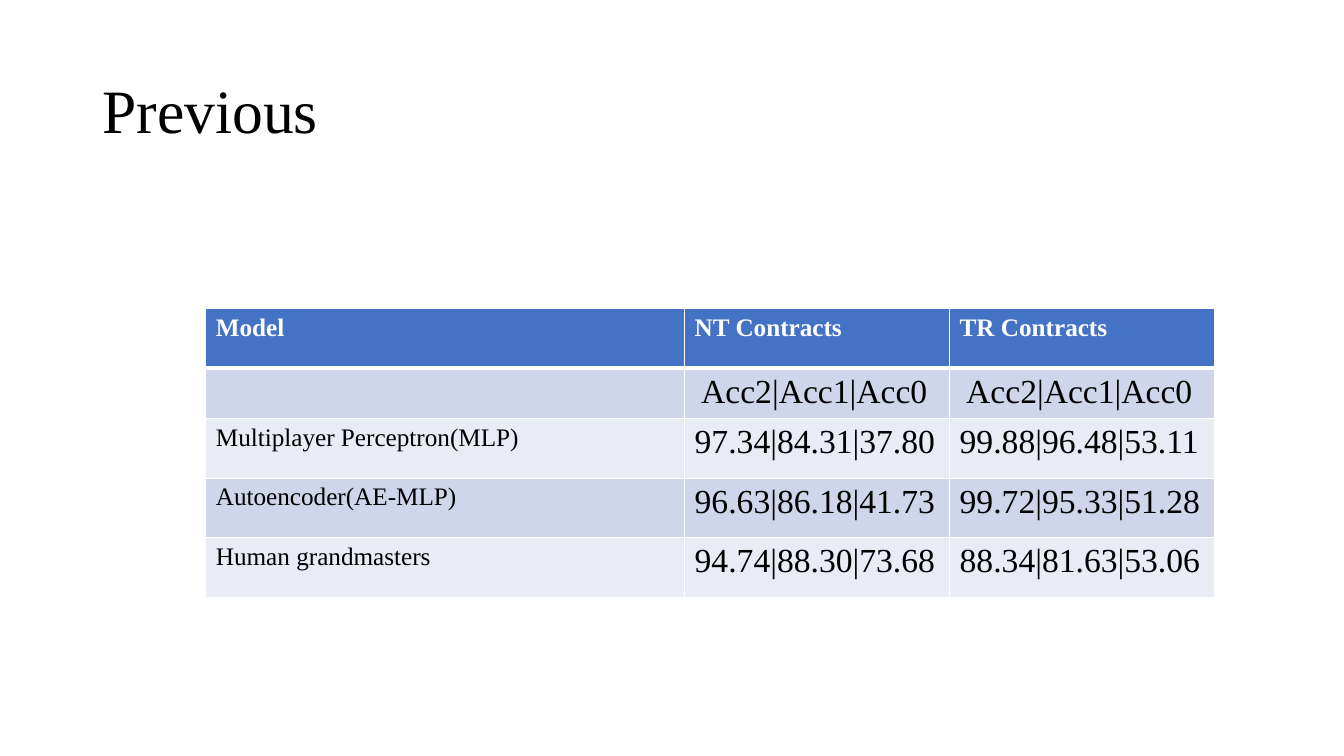
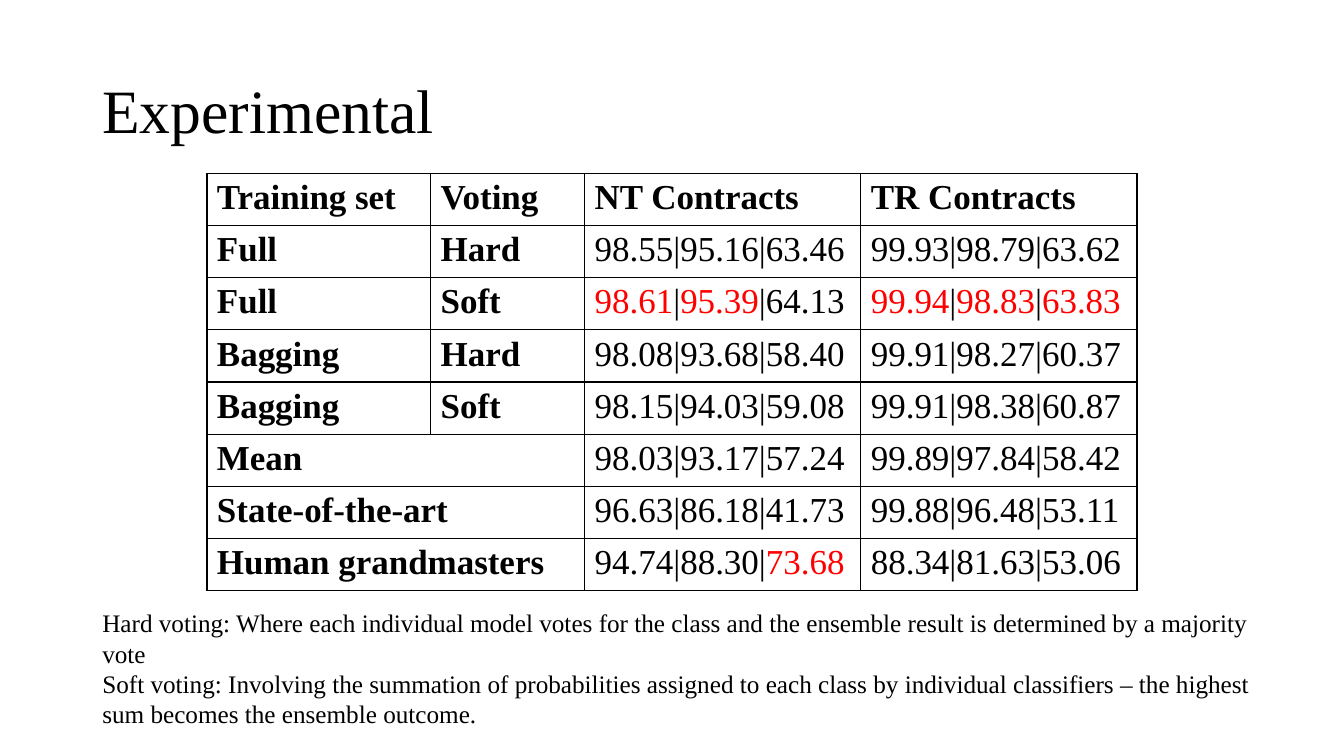
from dataclasses import dataclass

from pptx import Presentation
from pptx.dml.color import RGBColor
from pptx.enum.text import MSO_ANCHOR
from pptx.oxml.ns import qn
from pptx.slide import Slide
from pptx.table import _Cell
from pptx.text.text import _Paragraph
from pptx.util import Pt
from lxml.etree import SubElement

FONT = "Times New Roman"
BLACK = RGBColor(0x00, 0x00, 0x00)
WHITE = RGBColor(0xFF, 0xFF, 0xFF)
RED = RGBColor(0xFF, 0x00, 0x00)
BLUE = RGBColor(0x44, 0x72, 0xC4)
BAND_DARK = RGBColor(0xCF, 0xD5, 0xEA)
BAND_LIGHT = RGBColor(0xE9, 0xEB, 0xF5)
MARK = "*"


@dataclass(frozen=True)
class ResultTable:
    left: float
    top: float
    widths: tuple[float, ...]
    heights: tuple[float, ...]
    rows: tuple[tuple[str | None, ...], ...]
    label_columns: int
    label_size: float
    header_size: float
    value_size: float
    bold_labels: bool
    header_color: RGBColor
    header_fill: RGBColor
    bands: tuple[RGBColor, RGBColor]
    border: RGBColor
    header_rule: float


PREVIOUS = ResultTable(
    left=147, top=220.5, widths=(342, 189.3, 189.3),
    heights=(42.5, 33.8, 42.5, 42.5, 42.5),
    rows=(
        ("Model", "NT Contracts", "TR Contracts"),
        ("", " Acc2|Acc1|Acc0", " Acc2|Acc1|Acc0"),
        ("Multiplayer Perceptron(MLP)", "97.34|84.31|37.80", "99.88|96.48|53.11"),
        ("Autoencoder(AE-MLP)", "96.63|86.18|41.73", "99.72|95.33|51.28"),
        ("Human grandmasters", "94.74|88.30|73.68", "88.34|81.63|53.06"),
    ),
    label_columns=1, label_size=18, header_size=18, value_size=24,
    bold_labels=False, header_color=WHITE, header_fill=BLUE,
    bands=(BAND_DARK, BAND_LIGHT), border=WHITE, header_rule=3,
)

EXPERIMENTAL = ResultTable(
    left=147.8, top=124, widths=(159.8, 110, 197.3, 197.3),
    heights=(34.8,) * 8,
    rows=(
        ("Training set", "Voting", "NT Contracts", "TR Contracts"),
        ("Full", "Hard", "98.55|95.16|63.46", "99.93|98.79|63.62"),
        ("Full", "Soft", "*98.61*|*95.39*|64.13", "*99.94*|*98.83*|*63.83*"),
        ("Bagging", "Hard", "98.08|93.68|58.40", "99.91|98.27|60.37"),
        ("Bagging", "Soft", "98.15|94.03|59.08", "99.91|98.38|60.87"),
        ("Mean", None, "98.03|93.17|57.24", "99.89|97.84|58.42"),
        ("State-of-the-art", None, "96.63|86.18|41.73", "99.88|96.48|53.11"),
        ("Human grandmasters", None, "94.74|88.30|*73.68*", "88.34|81.63|53.06"),
    ),
    label_columns=2, label_size=25, header_size=25, value_size=25,
    bold_labels=True, header_color=BLACK, header_fill=WHITE,
    bands=(WHITE, WHITE), border=BLACK, header_rule=1,
)

VOTING_NOTES = (
    "Hard voting: Where each individual model votes for the class and the "
    "ensemble result is determined by a majority vote",
    "Soft voting: Involving the summation of probabilities assigned to each "
    "class by individual classifiers – the highest sum becomes the ensemble outcome.",
)


def add_spans(para: _Paragraph, text: str, size: float,
              color: RGBColor = BLACK, bold: bool = False) -> None:
    for index, part in enumerate(text.split(MARK)):
        if part:
            span = para.add_run()
            span.text = part
            span.font.name = FONT
            span.font.size = Pt(size)
            span.font.bold = bold
            span.font.color.rgb = RED if index % 2 else color


def add_text(page: Slide, left: float, top: float, width: float, height: float,
             lines: tuple[str, ...], size: float,
             anchor: MSO_ANCHOR = MSO_ANCHOR.TOP, spacing: float = 1.0) -> None:
    box = page.shapes.add_textbox(Pt(left), Pt(top), Pt(width), Pt(height))
    frame = box.text_frame
    frame.word_wrap = True
    frame.vertical_anchor = anchor
    for index, line in enumerate(lines):
        para = frame.add_paragraph() if index else frame.paragraphs[0]
        para.line_spacing = spacing
        add_spans(para, line, size)


def add_title(page: Slide, title: str) -> None:
    add_text(page, 66, 28.8, 828, 104.4, (title,), 44, MSO_ANCHOR.MIDDLE, 0.9)


def set_borders(cell: _Cell, color: RGBColor, top: float, bottom: float) -> None:
    properties = cell._tc.get_or_add_tcPr()
    for side, width in (("L", 1), ("R", 1), ("T", top), ("B", bottom)):
        line = SubElement(properties, qn(f"a:ln{side}"), w=str(Pt(width)))
        fill = SubElement(line, qn("a:solidFill"))
        SubElement(fill, qn("a:srgbClr"), val=str(color))


def add_results(page: Slide, results: ResultTable) -> None:
    table = page.shapes.add_table(
        len(results.rows), len(results.widths), Pt(results.left), Pt(results.top),
        Pt(sum(results.widths)), Pt(sum(results.heights))).table
    table.horz_banding = False
    for column, width in zip(table.columns, results.widths):
        column.width = Pt(width)
    for row, height in zip(table.rows, results.heights):
        row.height = Pt(height)
    for row_index, texts in enumerate(results.rows):
        header = row_index == 0
        for column_index, text in enumerate(texts):
            cell = table.cell(row_index, column_index)
            set_borders(cell, results.border,
                        results.header_rule if row_index == 1 else 1,
                        results.header_rule if header else 1)
            cell.fill.solid()
            cell.fill.fore_color.rgb = (
                results.header_fill if header else results.bands[(row_index - 1) % 2])
            if text is None:
                table.cell(row_index, column_index - 1).merge(cell)
                continue
            label = column_index < results.label_columns
            size = results.label_size if label else results.value_size
            add_spans(cell.text_frame.paragraphs[0], text,
                      results.header_size if header else size,
                      results.header_color if header else BLACK,
                      header or (label and results.bold_labels))


def main() -> None:
    deck = Presentation()
    deck.slide_width, deck.slide_height = Pt(960), Pt(540)
    blank = deck.slide_layouts[6]
    for title, results, notes in (
        ("Previous", PREVIOUS, ()),
        ("Experimental", EXPERIMENTAL, VOTING_NOTES),
    ):
        page = deck.slides.add_slide(blank)
        add_title(page, title)
        add_results(page, results)
        if notes:
            add_text(page, 66, 430.5, 838, 94.3, notes, 18)
    deck.save("out.pptx")


if __name__ == "__main__":
    main()
